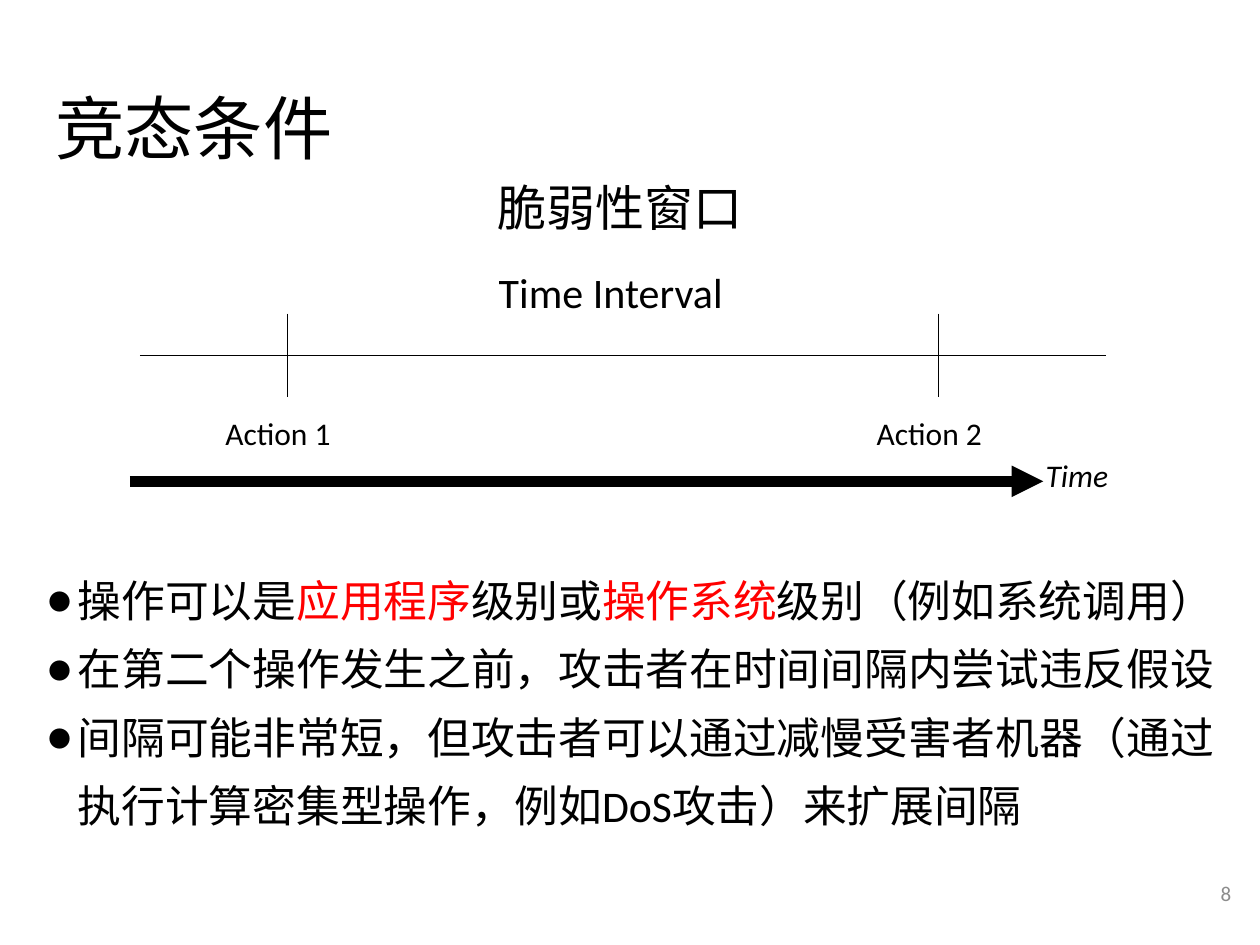
from dataclasses import dataclass

from lxml.etree import SubElement
from pptx import Presentation
from pptx.dml.color import RGBColor
from pptx.enum.shapes import MSO_CONNECTOR as Connector
from pptx.enum.text import MSO_ANCHOR as Anchor, PP_ALIGN as Align
from pptx.oxml.ns import qn
from pptx.util import Inches, Pt

BLACK, RED, GREY = "000000", "FF0000", "8C8C8C"
FONT = "Calibri"


@dataclass
class Label:
    text: str
    left: float
    top: float
    width: float
    height: float
    size: float
    color: str = BLACK
    italic: bool = False
    inset: float = 0.05
    wrap: bool = True
    align: Align = Align.LEFT
    anchor: Anchor = Anchor.TOP
    spacing: float = 1.0


@dataclass
class Line:
    x1: float
    y1: float
    x2: float
    y2: float
    width: float = 0.75
    arrow: bool = False


def rgb(value: str) -> RGBColor:
    return RGBColor.from_string(value)


def add_frame(slide, left: float, top: float, width: float, height: float, **formats):
    box = slide.shapes.add_textbox(*map(Inches, (left, top, width, height)))
    for name, value in formats.items():
        setattr(box.text_frame, name, value)
    return box.text_frame


def add_run(paragraph, text: str, size: float, color: str, italic: bool = False) -> None:
    run = paragraph.add_run()
    run.text = text
    for name, value in {"name": FONT, "size": Pt(size), "italic": italic}.items():
        setattr(run.font, name, value)
    run.font.color.rgb = rgb(color)


def draw_label(slide, label: Label) -> None:
    frame = add_frame(
        slide, label.left, label.top, label.width, label.height,
        word_wrap=label.wrap, vertical_anchor=label.anchor,
        margin_top=Inches(label.inset), margin_bottom=Inches(label.inset),
    )
    paragraph = frame.paragraphs[0]
    paragraph.alignment = label.align
    paragraph.line_spacing = label.spacing
    add_run(paragraph, label.text, label.size, label.color, label.italic)


def draw_line(slide, line: Line) -> None:
    ends = map(Inches, (line.x1, line.y1, line.x2, line.y2))
    connector = slide.shapes.add_connector(Connector.STRAIGHT, *ends)
    connector.line.width = Pt(line.width)
    connector.line.color.rgb = rgb(BLACK)
    properties = connector.element.spPr
    if line.arrow:
        SubElement(properties.find(qn("a:ln")), qn("a:tailEnd"), type="triangle")
    SubElement(properties, qn("a:effectLst"))


def draw_bullets(slide, points: list[list[tuple[str, str]]]) -> None:
    frame = add_frame(
        slide, 0.27, 4.33, 9.52, 2.86, word_wrap=True,
        margin_top=Inches(0.1), margin_bottom=Inches(0.1),
    )
    for index, runs in enumerate(points):
        paragraph = frame.add_paragraph() if index else frame.paragraphs[0]
        paragraph.line_spacing = 1.3
        properties = paragraph._p.get_or_add_pPr()
        properties.set("marL", str(Inches(0.25)))
        properties.set("indent", str(Inches(-0.25)))
        SubElement(properties, qn("a:buFont"), typeface=FONT)
        SubElement(properties, qn("a:buChar"), char="●")
        for text, color in runs:
            add_run(paragraph, text, 25, color)


AXIS_Y, TICK_REACH = 2.82, 0.33
ACTION_TICKS = {"Action 1": 2.28, "Action 2": 7.45}

LABELS = [
    Label("竞态条件", 0.34, 0.65, 9.32, 0.84, 39.6, inset=0.1, spacing=0.9),
    Label("脆弱性窗口", 3.85, 1.36, 2.17, 0.57, 28, wrap=False),
    Label("Time Interval", 3.86, 2.07, 2.58, 0.5, 24),
    Label("Time", 8.2, 3.57, 1, 0.4, 18, italic=True),
    Label("8", 9.27, 6.8, 0.6, 0.57, 12, GREY, inset=0.1,
          align=Align.RIGHT, anchor=Anchor.MIDDLE),
]
LINES = [
    Line(1.11, AXIS_Y, 8.78, AXIS_Y),
    Line(1.03, 3.82, 8.28, 3.82, width=6, arrow=True),
]
for action, tick_x in ACTION_TICKS.items():
    LABELS.append(Label(action, tick_x - 0.59, 3.24, 1.17, 0.4, 18))
    LINES.append(Line(tick_x, AXIS_Y - TICK_REACH, tick_x, AXIS_Y + TICK_REACH))

POINTS = [
    [("操作可以是", BLACK), ("应用程序", RED), ("级别或", BLACK),
     ("操作系统", RED), ("级别（例如系统调用）", BLACK)],
    [("在第二个操作发生之前，攻击者在时间间隔内尝试违反假设", BLACK)],
    [("间隔可能非常短，但攻击者可以通过减慢受害者机器（通过"
      "执行计算密集型操作，例如DoS攻击）来扩展间隔", BLACK)],
]


def main() -> None:
    deck = Presentation()
    deck.slide_width, deck.slide_height = Inches(10), Inches(7.5)
    slide = deck.slides.add_slide(deck.slide_layouts[6])
    draw_bullets(slide, POINTS)
    for line in LINES:
        draw_line(slide, line)
    for label in LABELS:
        draw_label(slide, label)
    deck.save("out.pptx")


if __name__ == "__main__":
    main()
